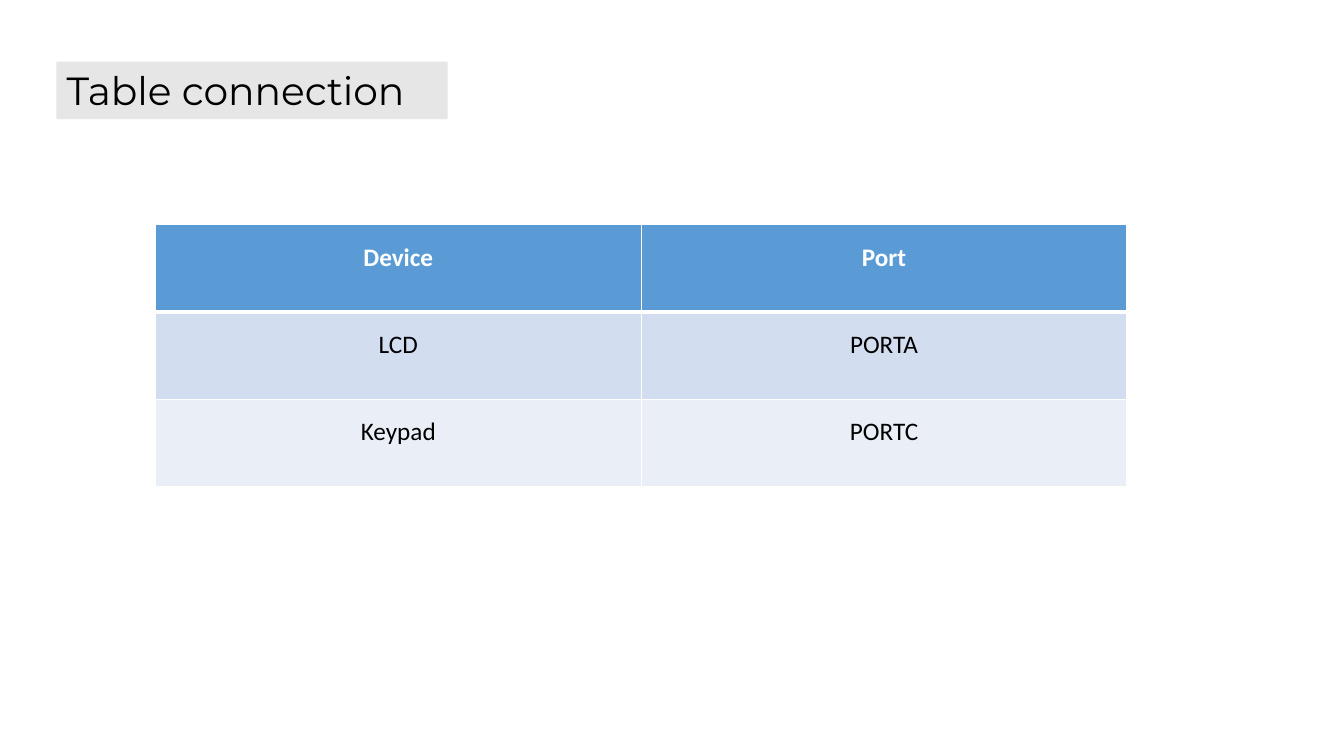
"""Build the device-to-port connection table slide."""
import pptx
import pptx.util
import pptx.dml.color
import pptx.enum.text
import pptx.oxml
import pptx.oxml.ns

Pt = pptx.util.Pt
COLORS = {"title": "E7E6E6", "header": "5B9BD5", "odd": "D2DEEF",
          "even": "EAEFF7", "white": "FFFFFF", "black": "000000"}
ROWS = [("Device", "Port"), ("LCD", "PORTA"), ("Keypad", "PORTC")]
ROW_FILLS = ["header", "odd", "even"]


def color(name):
    return pptx.dml.color.RGBColor.from_string(COLORS[name])


def add_border(cell, side, width):
    line = pptx.oxml.parse_xml(
        f'<a:{side} {pptx.oxml.ns.nsdecls("a")} w="{Pt(width)}"><a:solidFill>'
        f'<a:srgbClr val="{COLORS["white"]}"/></a:solidFill></a:{side}>')
    cell._tc.get_or_add_tcPr().append(line)


deck = pptx.Presentation()
deck.slide_width, deck.slide_height = Pt(960), Pt(540)
page = deck.slides.add_slide(deck.slide_layouts.get_by_name("Title Only"))

title = page.shapes.title
title.left, title.top, title.width, title.height = Pt(40.3), Pt(44), Pt(279.4), Pt(41.2)
title.fill.solid()
title.fill.fore_color.rgb = color("title")
frame = title.text_frame
frame.text = "Table connection"
frame.word_wrap = False
frame.auto_size = pptx.enum.text.MSO_AUTO_SIZE.NONE
frame.vertical_anchor = pptx.enum.text.MSO_ANCHOR.TOP
para = frame.paragraphs[0]
para.alignment = pptx.enum.text.PP_ALIGN.LEFT
font = para.runs[0].font
font.name, font.size = "Montserrat", Pt(28)
font.color.rgb = color("black")

table = page.shapes.add_table(
    len(ROWS), 2, Pt(111), Pt(160.6), Pt(694), Pt(187.2)).table
for row, labels in enumerate(ROWS):
    is_header = row == 0
    for column, label in enumerate(labels):
        cell = table.cell(row, column)
        for side in ("lnL", "lnR", "lnT", "lnB"):
            touches_header_rule = (row, side) in ((0, "lnB"), (1, "lnT"))
            add_border(cell, side, 3 if touches_header_rule else 1)
        cell.fill.solid()
        cell.fill.fore_color.rgb = color(ROW_FILLS[row])
        cell.text_frame.text = label
        para = cell.text_frame.paragraphs[0]
        para.alignment = pptx.enum.text.PP_ALIGN.CENTER
        para.line_spacing = 1.4
        font = para.runs[0].font
        font.name, font.size, font.bold = "Calibri", Pt(18), is_header
        font.color.rgb = color("white" if is_header else "black")

deck.save("out.pptx")
